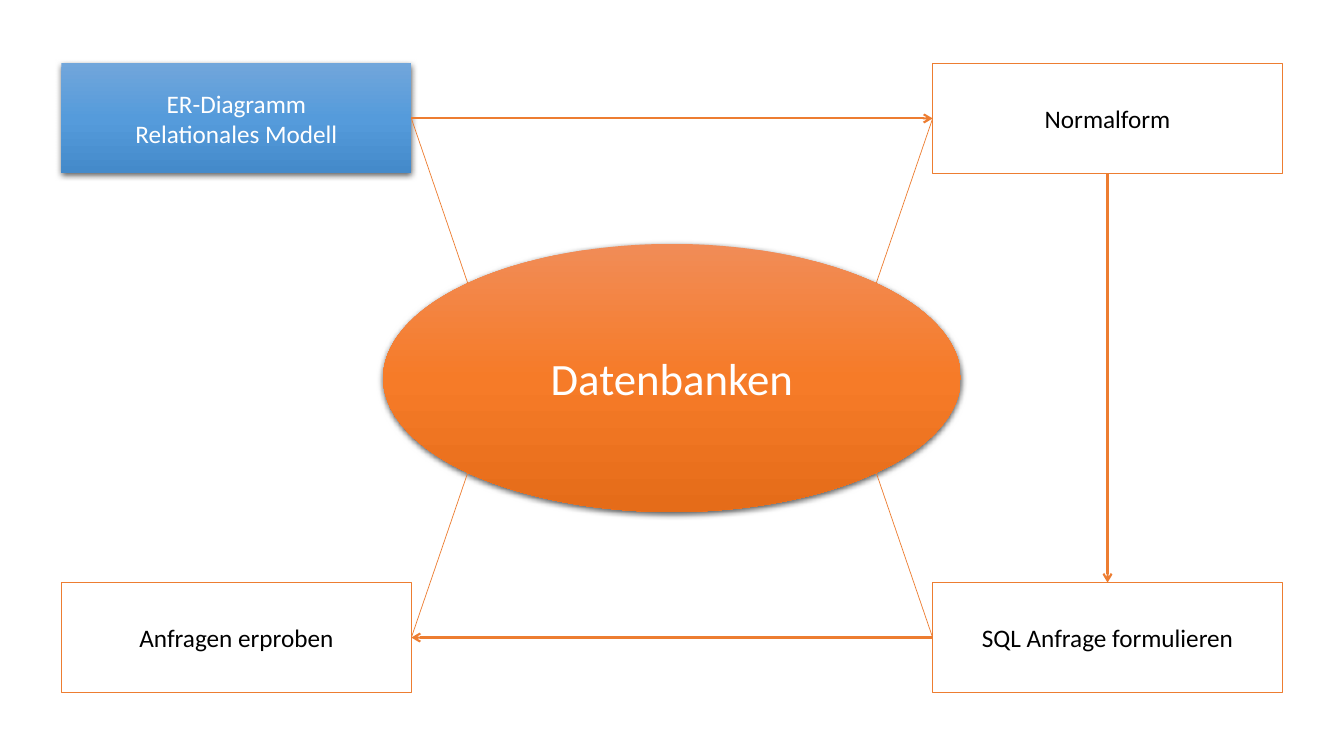
from dataclasses import dataclass
from math import sqrt

from lxml.etree import SubElement
from pptx import Presentation
from pptx.dml.color import RGBColor
from pptx.enum.shapes import MSO_CONNECTOR, MSO_SHAPE
from pptx.enum.text import MSO_ANCHOR, PP_ALIGN
from pptx.oxml.ns import qn
from pptx.shapes.autoshape import Shape
from pptx.shapes.connector import Connector
from pptx.shapes.shapetree import SlideShapes
from pptx.util import Inches, Pt

WHITE = RGBColor(0xFF, 0xFF, 0xFF)
BLACK = RGBColor(0x00, 0x00, 0x00)
ORANGE = RGBColor(0xED, 0x7D, 0x31)
ORANGE_FADE = (RGBColor(0xF1, 0x8C, 0x57), RGBColor(0xF6, 0x7B, 0x28), RGBColor(0xE5, 0x6C, 0x19))
BLUE_FADE = (RGBColor(0x71, 0xA6, 0xDB), RGBColor(0x55, 0x9B, 0xDB), RGBColor(0x44, 0x8A, 0xCA))
Fade = tuple[RGBColor, ...]

# Grid in inches: two columns and two rows of steps around the topic
SLIDE_W, SLIDE_H = 13.33, 7.5
COLUMNS, ROWS = (0.61, 9.25), (0.63, 5.78)
STEP_W, STEP_H = 3.47, 1.09
TOPIC_W, TOPIC_H = 5.73, 2.66
TOP, LEFT, BOTTOM, RIGHT = range(4)


@dataclass(frozen=True)
class Step:
    text: str
    column: int
    row: int
    fade: Fade | None = None


@dataclass(frozen=True)
class Flow:
    source: int
    source_side: int
    target: int
    target_side: int


STEPS = (
    Step("ER-Diagramm\vRelationales Modell", 0, 0, BLUE_FADE),
    Step("Normalform", 1, 0),
    Step("SQL Anfrage formulieren", 1, 1),
    Step("Anfragen erproben", 0, 1),
)
FLOWS = (
    Flow(0, RIGHT, 1, LEFT),
    Flow(1, BOTTOM, 2, TOP),
    Flow(2, LEFT, 3, RIGHT),
)


def apply_fade(shape: Shape, fade: Fade) -> None:
    """Fill from top to bottom with evenly spaced colours, and cast a soft shadow."""
    shape.fill.gradient()
    shape.fill.gradient_angle = 270
    properties = shape._element.spPr
    stops = properties.find(qn("a:gradFill")).find(qn("a:gsLst"))
    for stop in list(stops):
        stops.remove(stop)
    for index, color in enumerate(fade):
        position = 100000 * index // (len(fade) - 1)
        stop = SubElement(stops, qn("a:gs"), pos=str(position))
        SubElement(stop, qn("a:srgbClr"), val=str(color))
    shape.line.fill.background()

    shadow = SubElement(
        properties.find(qn("a:effectLst")), qn("a:outerShdw"),
        blurRad=str(Pt(4.5)), dist=str(Pt(1.5)), dir="5400000", algn="ctr", rotWithShape="0",
    )
    shadow_color = SubElement(shadow, qn("a:srgbClr"), val=str(BLACK))
    SubElement(shadow_color, qn("a:alpha"), val="63000")


def add_node(shapes: SlideShapes, kind: MSO_SHAPE, box: tuple[float, float, float, float],
             text: str, size: int, fade: Fade | None) -> Shape:
    node = shapes.add_shape(kind, *map(Inches, box))
    node.shadow.inherit = False
    if fade:
        apply_fade(node, fade)
    else:
        node.fill.solid()
        node.fill.fore_color.rgb = WHITE
        node.line.color.rgb = ORANGE
        node.line.width = Pt(1)
    frame = node.text_frame
    frame.word_wrap = True
    frame.vertical_anchor = MSO_ANCHOR.MIDDLE
    frame.text = text
    label = frame.paragraphs[0]
    label.alignment = PP_ALIGN.CENTER
    label.font.name = "Calibri"
    label.font.size = Pt(size)
    label.font.color.rgb = WHITE if fade else BLACK
    return node


def add_link(shapes: SlideShapes, width: float, end: tuple[float, float] = (0, 0)) -> Connector:
    link = shapes.add_connector(MSO_CONNECTOR.STRAIGHT, 0, 0, *map(Inches, end))
    link.line.color.rgb = ORANGE
    link.line.width = Pt(width)
    SubElement(link._element.spPr, qn("a:effectLst"))
    return link


def main() -> None:
    deck = Presentation()
    deck.slide_width, deck.slide_height = Inches(SLIDE_W), Inches(SLIDE_H)
    shapes = deck.slides.add_slide(deck.slide_layouts[6]).shapes

    # Central topic
    topic_box = ((SLIDE_W - TOPIC_W) / 2, (SLIDE_H - TOPIC_H) / 2, TOPIC_W, TOPIC_H)
    add_node(shapes, MSO_SHAPE.OVAL, topic_box, "Datenbanken", 32, ORANGE_FADE)

    # Steps in the four corners
    steps = [
        add_node(shapes, MSO_SHAPE.RECTANGLE,
                 (COLUMNS[step.column], ROWS[step.row], STEP_W, STEP_H),
                 step.text, 18, step.fade)
        for step in STEPS
    ]

    # Thin spokes from each step to the diagonal points of the ellipse
    for step, node in zip(STEPS, steps):
        rim = (SLIDE_W / 2 + (2 * step.column - 1) * TOPIC_W / 2 / sqrt(2),
               SLIDE_H / 2 + (2 * step.row - 1) * TOPIC_H / 2 / sqrt(2))
        spoke = add_link(shapes, 0.5, rim)
        spoke.begin_connect(node, LEFT if step.column else RIGHT)

    # Arrows in working order
    for flow in FLOWS:
        arrow = add_link(shapes, 1.5)
        arrow.begin_connect(steps[flow.source], flow.source_side)
        arrow.end_connect(steps[flow.target], flow.target_side)
        SubElement(arrow.line._get_or_add_ln(), qn("a:tailEnd"), type="arrow")

    deck.save("out.pptx")


if __name__ == "__main__":
    main()
